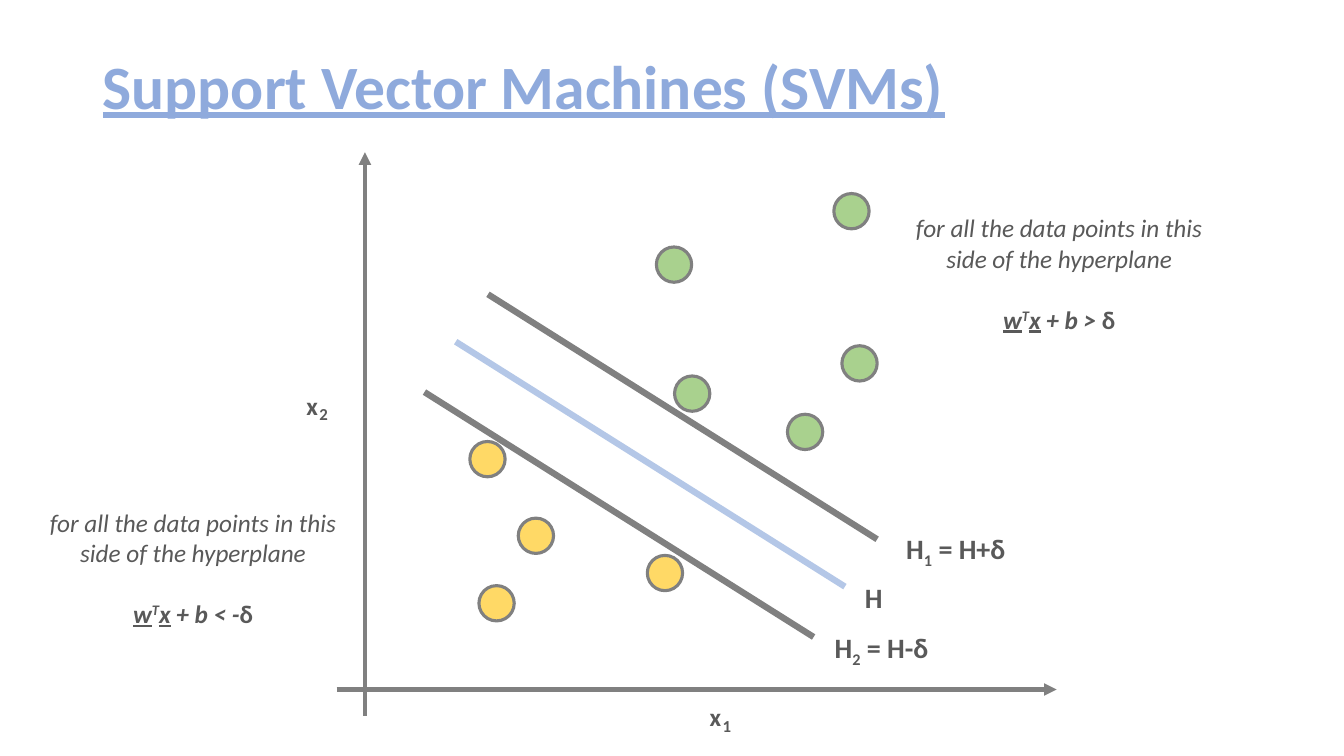
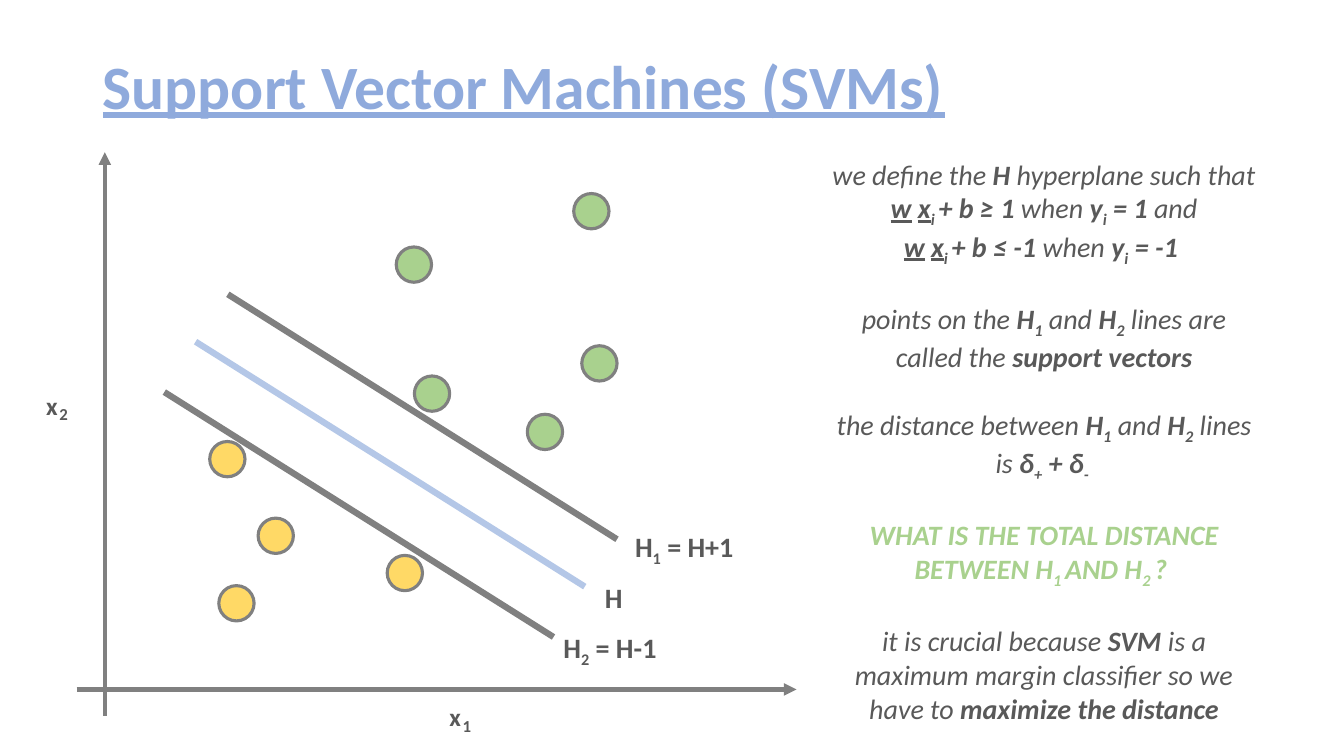
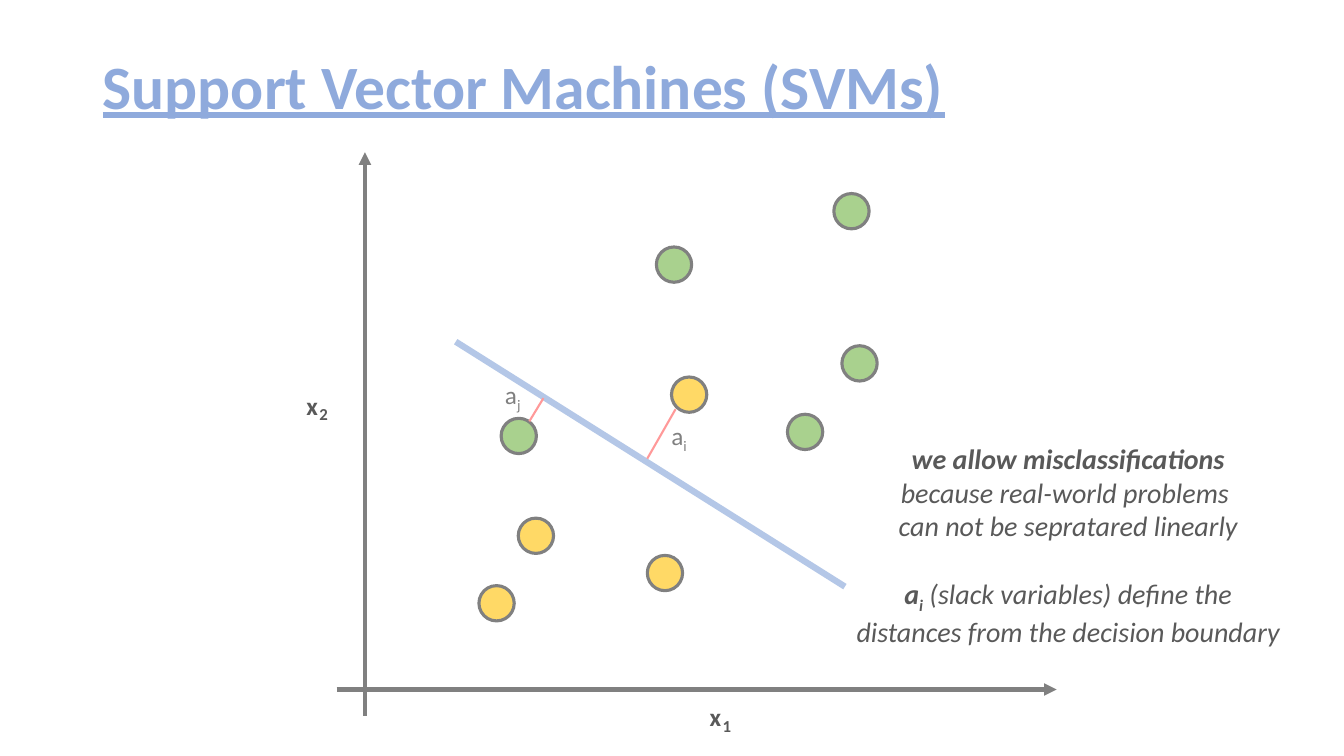
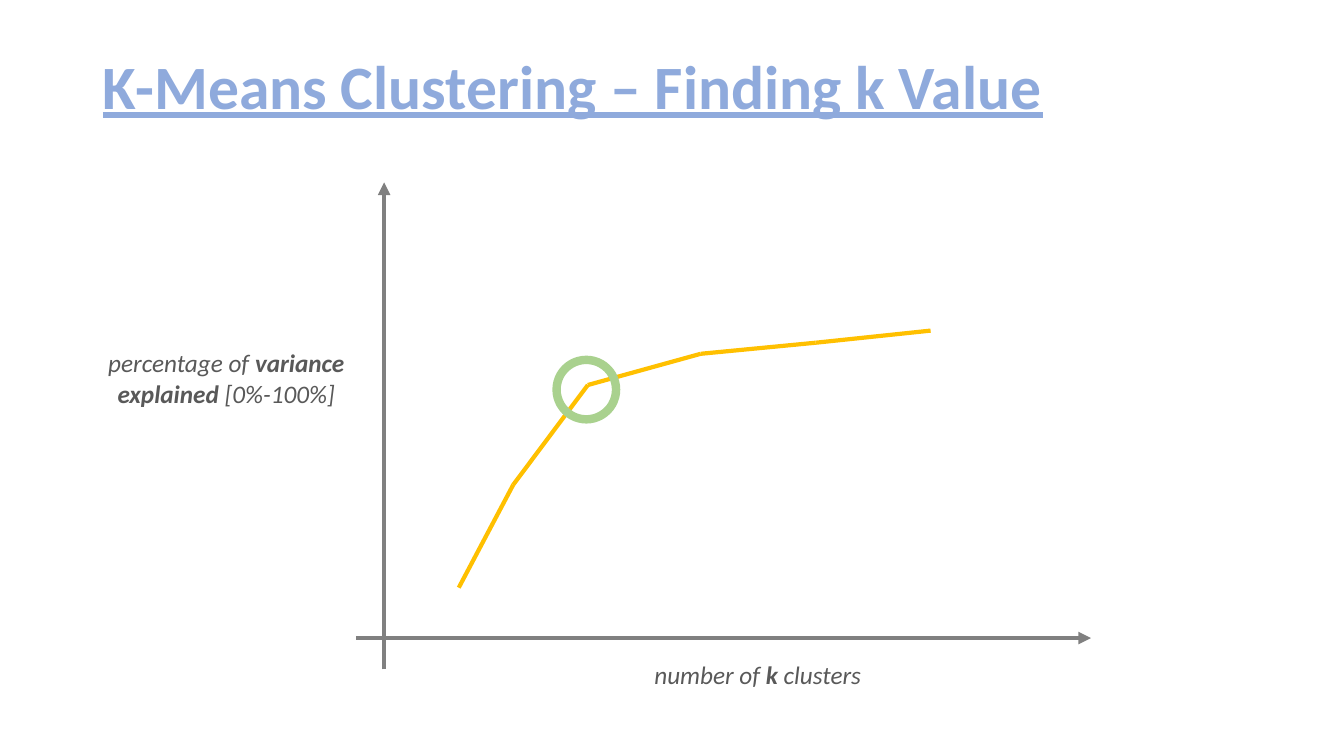
from itertools import pairwise

from lxml import etree
from pptx import Presentation
from pptx.dml.color import RGBColor
from pptx.enum.shapes import MSO_CONNECTOR, MSO_SHAPE
from pptx.enum.text import MSO_ANCHOR, MSO_AUTO_SIZE, PP_ALIGN
from pptx.oxml.ns import qn
from pptx.util import Inches, Pt

STRAIGHT = MSO_CONNECTOR.STRAIGHT
OVAL = MSO_SHAPE.OVAL
MIDDLE = MSO_ANCHOR.MIDDLE
NO_AUTOFIT = MSO_AUTO_SIZE.NONE
LEFT = PP_ALIGN.LEFT
CENTER = PP_ALIGN.CENTER

FONT = "Calibri"
LINE_HEIGHT = 1.22
TITLE_ONLY = 5
COLORS = {
    "title": "8FAADC",
    "text": "595959",
    "gray": "808080",
    "hyperplane": "B4C7E7",
    "yellow": "FFD966",
    "green": "A9D18E",
    "slack": "FF9999",
    "curve": "FFC000",
}

SVM_TITLE = "Support Vector Machines (SVMs)"
CENTERED_ORIGIN = 3.62
LEFT_ORIGIN = 1.04
DOT_SIZE = 0.35
HYPERPLANE_RUN = (3.86, 2.43)
HYPERPLANE_START = (0.9, 3.39)
MARGIN_STARTS = [(1.22, 2.92), (0.59, 3.89)]
YELLOW_DOTS = [(1.13, 5.81), (1.52, 5.14), (2.8, 5.51)]
GREEN_DOTS = [(2.89, 2.45), (4.19, 4.11), (4.73, 3.43), (4.65, 1.92)]
YELLOW_SUPPORT = (1.04, 4.38)
GREEN_SUPPORT = (3.07, 3.73)
YELLOW_OUTLIER = (3.04, 3.74)
GREEN_OUTLIER = (1.35, 4.15)

H1 = [("H", "bi"), ("1", "bi_")]
H2 = [("H", "bi"), ("2", "bi_")]
DEFINITION = [
    [
        ["we define the ", ("H", "bi"), " hyperplane such that"],
        [("w", "biu"), (" ", "bi"), ("x", "biu"), ("i ", "bi_"), ("+ b ≥ 1 ", "bi"),
         "when ", ("y", "bi"), ("i", "bi_"), (" = 1", "bi"), " and"],
        [("w", "biu"), (" ", "bi"), ("x", "biu"), ("i ", "bi_"), ("+ b ≤ -1", "bi"),
         " when ", ("y", "bi"), ("i", "bi_"), (" = -1 ", "bi")],
    ],
    [
        ["points on the ", *H1, " and ", *H2, " lines are"],
        ["called the ", ("support vectors", "bi")],
    ],
    [
        ["the distance between ", *H1, " and ", *H2, " lines is", (" δ", "bi"),
         ("+", "bi_"), (" + δ", "bi"), ("- ", "bi_")],
    ],
    [
        [("WHAT IS THE TOTAL DISTANCE BETWEEN H", "big"), ("1 ", "big_"),
         ("AND H", "big"), ("2 ", "big_"), ("? ", "big")],
    ],
    [
        ["it is crucial because ", ("SVM", "bi"),
         " is a maximum margin classifier so we have to ",
         ("maximize the distance", "bi")],
    ],
]
MISCLASSIFICATION = [
    [
        [("we allow misclassifications", "bi")],
        ["because real-world problems "],
        ["can not be sepratared linearly"],
    ],
    [
        [("a", "bi"), ("i", "bi_"), " (slack variables) define the"],
        ["distances from the decision boundary"],
    ],
]


def rgb(name):
    """Return the named colour."""
    return RGBColor.from_string(COLORS[name])


def style_run(run, size, color, marks):
    """Format a run: b bold, i italic, u underline, g green, ^ and _ baseline shifts."""
    font = run.font
    font.name, font.size = FONT, Pt(size)
    font.color.rgb = rgb("green" if "g" in marks else color)
    font.bold, font.italic, font.underline = (mark in marks for mark in "biu")
    for mark, baseline in (("^", "30000"), ("_", "-25000")):
        if mark in marks:
            run._r.get_or_add_rPr().set("baseline", baseline)


def add_text(slide, left, top, width, height, blocks, size=18, marks="i",
             align=CENTER, color="text"):
    """Add a text box of paragraph blocks that are one line apart."""
    box = slide.shapes.add_textbox(Inches(left), Inches(top), Inches(width), Inches(height))
    frame = box.text_frame
    frame.word_wrap = True
    paragraph = None
    for block in blocks:
        for index, runs in enumerate(block):
            starts_block = paragraph is not None and index == 0
            paragraph = frame.paragraphs[0] if paragraph is None else frame.add_paragraph()
            paragraph.alignment = align
            if starts_block:
                paragraph.space_before = Pt(round(size * LINE_HEIGHT, 1))
            for item in runs:
                text, run_marks = (item, marks) if isinstance(item, str) else item
                run = paragraph.add_run()
                run.text = text
                style_run(run, size, color, run_marks)


def add_label(slide, left, top, width, runs, size=18, marks="b", color="text"):
    """Add a one-line label aligned left."""
    add_text(slide, left, top, width, 0.4, [[runs]], size, marks, LEFT, color)


def add_line(slide, start, end, color, weight, arrow=False):
    """Add a straight line, with an arrowhead at its end if asked."""
    points = [Inches(value) for value in (*start, *end)]
    connector = slide.shapes.add_connector(STRAIGHT, *points)
    connector.line.color.rgb = rgb(color)
    connector.line.width = Pt(weight)
    if arrow:
        etree.SubElement(connector.line._get_or_add_ln(), qn("a:tailEnd"), type="triangle")
    etree.SubElement(connector._element.spPr, qn("a:effectLst"))


def add_circle(slide, left, top, size, outline, weight, fill=None):
    """Add an outlined circle, filled if a colour is given."""
    circle = slide.shapes.add_shape(OVAL, Inches(left), Inches(top), Inches(size), Inches(size))
    circle.shadow.inherit = False
    circle.line.color.rgb = rgb(outline)
    circle.line.width = Pt(weight)
    if fill:
        circle.fill.solid()
        circle.fill.fore_color.rgb = rgb(fill)
    else:
        circle.fill.background()


def add_slide(presentation, text):
    """Add a slide with its formatted title."""
    slide = presentation.slides.add_slide(presentation.slide_layouts[TITLE_ONLY])
    title = slide.shapes.title
    title.left, title.top = Inches(0.92), Inches(0.16)
    title.width, title.height = Inches(11.5), Inches(1.45)
    frame = title.text_frame
    frame.auto_size = NO_AUTOFIT
    frame.vertical_anchor = MIDDLE
    paragraph = frame.paragraphs[0]
    paragraph.alignment = LEFT
    paragraph.line_spacing = 0.9
    run = paragraph.add_run()
    run.text = text
    style_run(run, 44, "title", "bu")
    return slide


def add_axes(slide, origin, baseline, top, bottom, right):
    """Add two arrows that cross at the origin."""
    add_line(slide, (origin, bottom), (origin, top), "gray", 3, arrow=True)
    add_line(slide, (origin - 0.28, baseline), (right, baseline), "gray", 3, arrow=True)


def add_hyperplane(slide, origin, start, color):
    """Add one slanted line of the feature plot."""
    left, top = origin + start[0], start[1]
    end = (left + HYPERPLANE_RUN[0], top + HYPERPLANE_RUN[1])
    add_line(slide, (left, top), end, color, 4.5)


def add_feature_plot(slide, origin, extra_yellow, extra_green):
    """Add labelled axes, data points and the separating hyperplane."""
    add_axes(slide, origin, 6.84, 1.51, 7.1, origin + 6.86)
    for left, top, number in ((3.32, 6.91, "1"), (-0.68, 3.82, "2")):
        add_label(slide, origin + left, top, 0.4, ["x"])
        add_label(slide, origin + left + 0.13, top + 0.14, 0.3, [number], 12)
    for fill, dots in (("yellow", [*YELLOW_DOTS, extra_yellow]),
                       ("green", [*GREEN_DOTS, extra_green])):
        for left, top in dots:
            add_circle(slide, origin + left, top, DOT_SIZE, "gray", 2.25, fill)
    add_hyperplane(slide, origin, HYPERPLANE_START, "hyperplane")


def add_margin_plot(slide, origin, offset, upper, lower):
    """Add the feature plot with both margin lines and their names."""
    add_feature_plot(slide, origin, YELLOW_SUPPORT, GREEN_SUPPORT)
    for start in MARGIN_STARTS:
        add_hyperplane(slide, origin, start, "gray")
    add_label(slide, origin + 4.86, 5.71, 0.4, ["H"], 20)
    for (left, top), number in ((upper, "1"), (lower, "2")):
        sign = "+" if number == "1" else "-"
        runs = ["H", (number, "b_"), f" = H{sign}{offset}"]
        add_label(slide, left, top, 1.4, runs, 20)


def add_side_note(slide, left, top, comparison):
    """Add the rule that holds on one side of the hyperplane."""
    blocks = [
        [["for all the data points in this"], ["side of the hyperplane"]],
        [[("w", "biu"), ("T", "bi^"), ("x", "biu"), (f" + b {comparison}", "bi"), ("δ", "b")]],
    ]
    add_text(slide, left, top, 3.11, 1.31, blocks)


def build_margins(presentation):
    """Build the slide on both sides of the hyperplane."""
    slide = add_slide(presentation, SVM_TITLE)
    add_margin_plot(slide, CENTERED_ORIGIN, "δ", (8.89, 5.22), (8.18, 6.21))
    add_side_note(slide, 8.95, 2.06, "> ")
    add_side_note(slide, 0.36, 4.98, "< -")


def build_definition(presentation):
    """Build the slide that defines the hyperplane."""
    slide = add_slide(presentation, SVM_TITLE)
    add_margin_plot(slide, LEFT_ORIGIN, "1", (6.2, 5.2), (5.49, 6.21))
    add_text(slide, 8.09, 1.51, 4.53, 5.49, DEFINITION, 20)


def build_slack(presentation):
    """Build the slide on slack variables."""
    slide = add_slide(presentation, SVM_TITLE)
    add_feature_plot(slide, CENTERED_ORIGIN, YELLOW_OUTLIER, GREEN_OUTLIER)
    for start, end, left, top, index in (
        ((6.42, 4.55), (6.7, 4.06), 6.56, 4.12, "i"),
        ((5.25, 4.18), (5.39, 3.95), 4.91, 3.71, "j"),
    ):
        add_line(slide, start, end, "slack", 1.5)
        add_label(slide, left, top, 0.45, ["a", (index, "_")], marks="", color="gray")
    add_text(slide, 8.09, 4.33, 5.01, 2.46, MISCLASSIFICATION, 20)


def build_elbow(presentation):
    """Build the slide on choosing the number of clusters."""
    slide = add_slide(presentation, "K-Means Clustering – Finding k Value")
    add_axes(slide, 3.81, 6.33, 1.81, 6.64, 10.82)
    add_text(slide, 0.96, 3.4, 2.57, 0.71, [[
        ["percentage of ", ("variance", "bi")],
        [("explained ", "bi"), "[0%-100%]"],
    ]])
    add_text(slide, 6.38, 6.49, 2.27, 0.4, [[["number of ", ("k ", "bi"), "clusters"]]])
    curve = [(4.55, 5.83), (5.09, 4.81), (5.83, 3.82), (6.95, 3.51), (8.09, 3.4), (9.23, 3.28)]
    for start, end in pairwise(curve):
        add_line(slide, start, end, "curve", 3)
    add_circle(slide, 5.52, 3.57, 0.59, "green", 6)


def main():
    """Build and save the presentation."""
    presentation = Presentation()
    presentation.slide_width = Inches(13.33)
    presentation.slide_height = Inches(7.5)
    build_margins(presentation)
    build_definition(presentation)
    build_slack(presentation)
    build_elbow(presentation)
    presentation.save("out.pptx")


if __name__ == "__main__":
    main()
